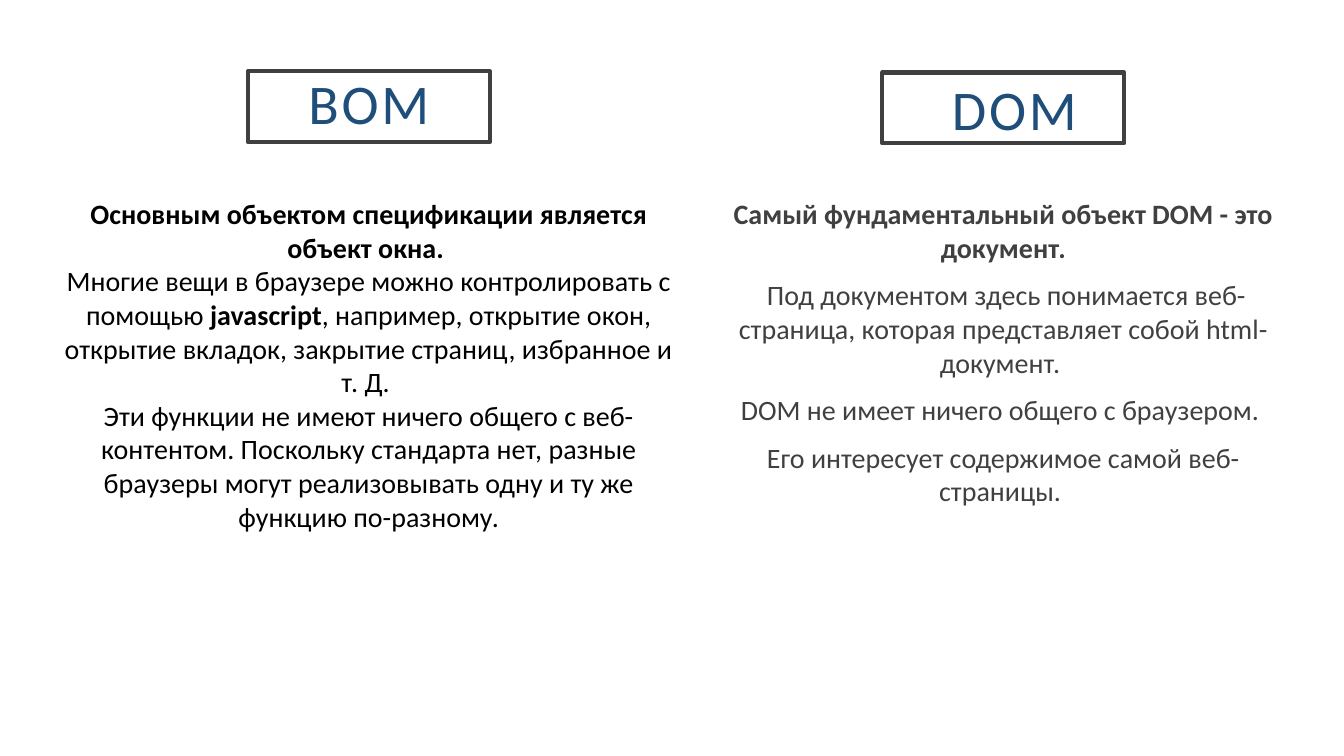
import pptx
import pptx.dml.color
import pptx.enum.shapes
import pptx.enum.text
import pptx.util

Cm = pptx.util.Cm
Pt = pptx.util.Pt

# Content: a paragraph is a list of (text, bold) runs
COLUMNS = [
    {
        "title": "BOM",
        "left": 1.32, "width": 15.95, "height": 8.81,
        "title_top": 1.8, "title_indent": 0, "title_spacing": 0.9,
        "color": "body_dark", "space_before": 0,
        "paragraphs": [
            [("Основным объектом спецификации является объект окна.\u00a0", True)],
            [("Многие вещи в браузере можно контролировать с помощью ", False),
             ("javascript", True),
             (", например, открытие окон, открытие вкладок, закрытие страниц, "
              "избранное и т. Д.\u00a0", False)],
            [("Эти функции не имеют ничего общего с веб-контентом. Поскольку "
              "стандарта нет, разные браузеры могут реализовывать одну и ту же "
              "функцию по-разному.", False)],
        ],
    },
    {
        "title": "DOM",
        "left": 17.93, "width": 14.71, "height": 12.98,
        "title_top": 1.83, "title_indent": 0.56, "title_spacing": 1.0,
        "color": "body_gray", "space_before": 10,
        "paragraphs": [
            [("Самый фундаментальный объект DOM - это документ.", True)],
            [("\u00a0Под документом здесь понимается веб-страница, которая "
              "представляет собой html-документ.\u00a0", False)],
            [("DOM не имеет ничего общего с браузером.\u00a0", False)],
            [("Его интересует содержимое самой веб-страницы.\u00a0", False)],
        ],
    },
]

THEME = {
    "font": "Calibri",
    "title_size": 40,
    "body_size": 20,
    "title": "1E4E79",
    "body_dark": "000000",
    "body_gray": "404040",
    "box_fill": "FFFFFF",
    "box_line": "404040",
}

BODY_TOP = 4.83
BOX_WIDTH, BOX_HEIGHT = 6.1, 1.78
BOX_INSET_X, BOX_INSET_Y = 0.76, 0.51


def rgb(name):
    return pptx.dml.color.RGBColor.from_string(THEME[name])


def add_text(paragraph, text, *, size, color, bold=False, tracking=0):
    run = paragraph.add_run()
    run.text = text
    run.font.name = THEME["font"]
    run.font.size = Pt(THEME[size])
    run.font.bold = bold
    run.font.color.rgb = rgb(color)
    if tracking:
        run._r.get_or_add_rPr().set("spc", str(tracking * 100))


def add_title_box(slide, column):
    left = column["left"] + (column["width"] - BOX_WIDTH) / 2
    shape = slide.shapes.add_shape(
        pptx.enum.shapes.MSO_SHAPE.RECTANGLE,
        Cm(left), Cm(column["title_top"]), Cm(BOX_WIDTH), Cm(BOX_HEIGHT))
    shape.shadow.inherit = False
    shape.fill.solid()
    shape.fill.fore_color.rgb = rgb("box_fill")
    shape.line.color.rgb = rgb("box_line")
    shape.line.width = Pt(3)

    frame = shape.text_frame
    frame.word_wrap = True
    frame.vertical_anchor = pptx.enum.text.MSO_ANCHOR.MIDDLE
    frame.margin_left = Cm(BOX_INSET_X + column["title_indent"])
    frame.margin_right = Cm(BOX_INSET_X)
    frame.margin_top = frame.margin_bottom = Cm(BOX_INSET_Y)
    paragraph = frame.paragraphs[0]
    paragraph.alignment = pptx.enum.text.PP_ALIGN.CENTER
    paragraph.line_spacing = column["title_spacing"]
    add_text(paragraph, column["title"], size="title_size", color="title", tracking=2)


def add_body(slide, column):
    shape = slide.shapes.add_textbox(
        Cm(column["left"]), Cm(BODY_TOP), Cm(column["width"]), Cm(column["height"]))
    frame = shape.text_frame
    frame.word_wrap = True
    for index, runs in enumerate(column["paragraphs"]):
        paragraph = frame.add_paragraph() if index else frame.paragraphs[0]
        paragraph.alignment = pptx.enum.text.PP_ALIGN.CENTER
        paragraph.space_before = Pt(column["space_before"])
        for text, bold in runs:
            add_text(paragraph, text, size="body_size", color=column["color"], bold=bold)


# Slide
presentation = pptx.Presentation()
presentation.slide_width = Cm(33.87)
presentation.slide_height = Cm(19.05)
slide = presentation.slides.add_slide(presentation.slide_layouts[6])

# Two columns, each a framed title above its text
for column in COLUMNS:
    add_title_box(slide, column)
    add_body(slide, column)

presentation.save("out.pptx")
